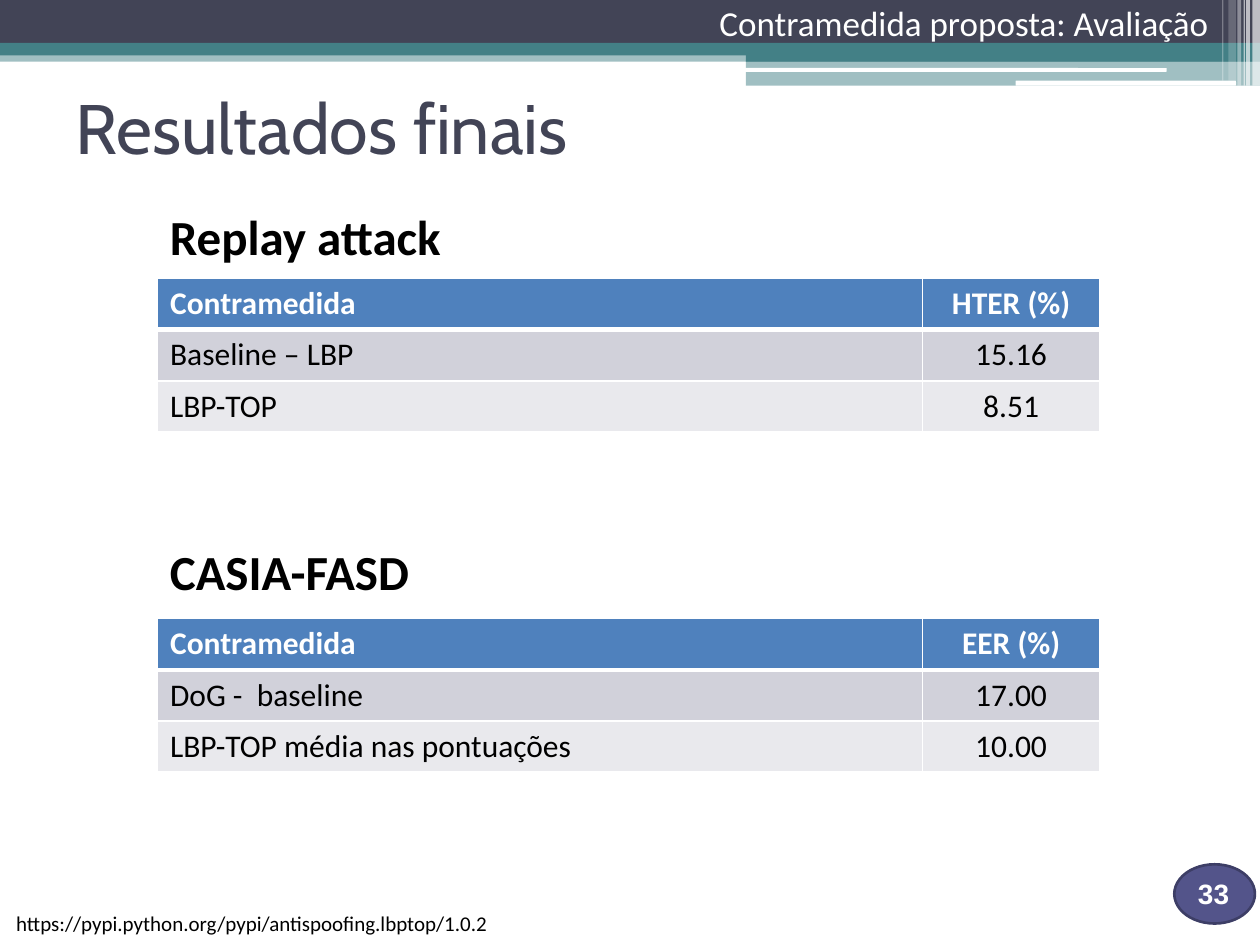
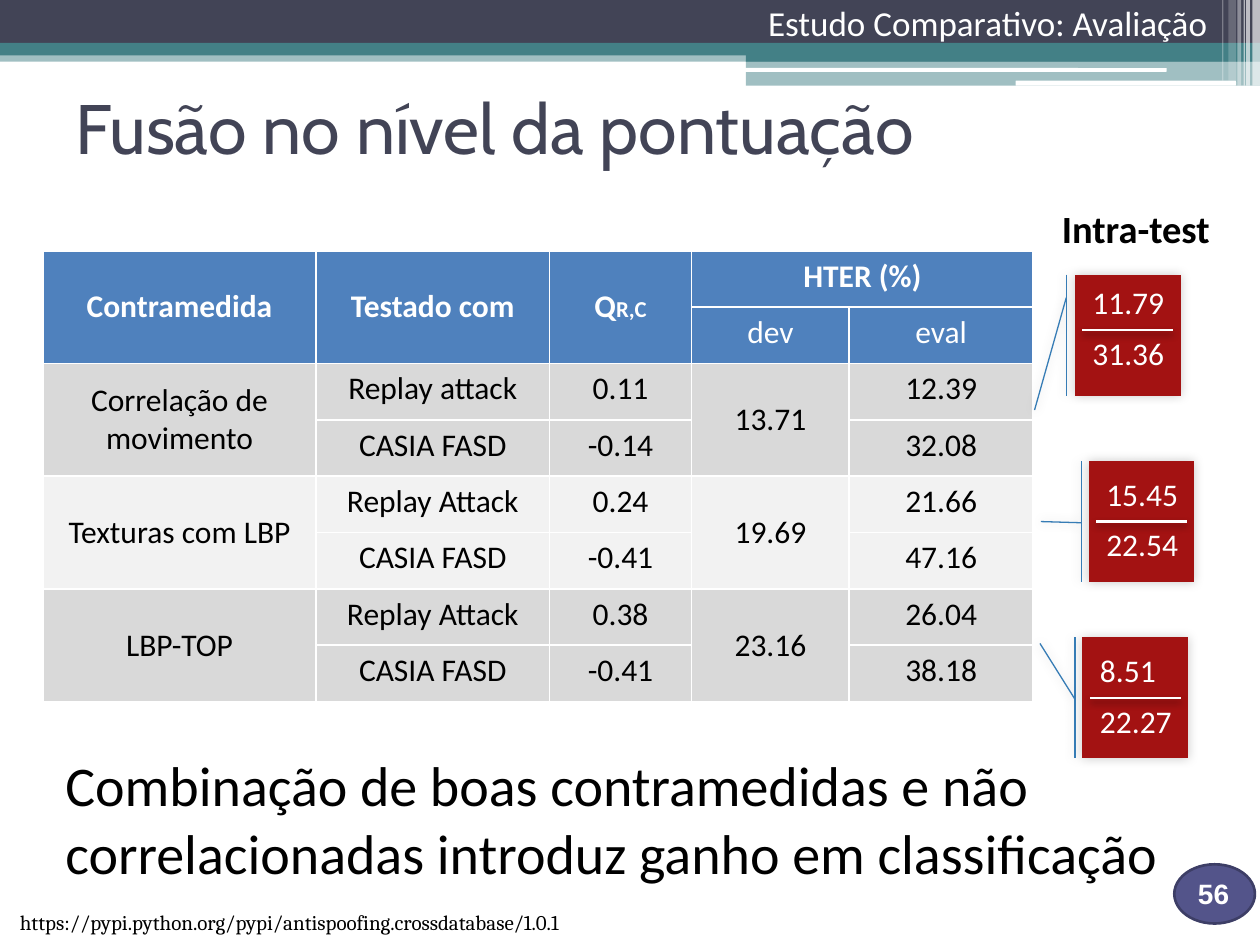
from pptx import Presentation
from pptx.dml.color import RGBColor
from pptx.enum.shapes import MSO_CONNECTOR, MSO_SHAPE
from pptx.enum.text import MSO_ANCHOR, MSO_AUTO_SIZE, PP_ALIGN
from pptx.oxml import parse_xml
from pptx.oxml.ns import nsdecls, qn
from pptx.util import Inches, Pt

RECTANGLE, ROUNDED = MSO_SHAPE.RECTANGLE, MSO_SHAPE.ROUNDED_RECTANGLE
OVAL, CALLOUT = MSO_SHAPE.OVAL, MSO_SHAPE.LINE_CALLOUT_1_ACCENT_BAR
STRAIGHT = MSO_CONNECTOR.STRAIGHT
LEFT, CENTER, RIGHT = PP_ALIGN.LEFT, PP_ALIGN.CENTER, PP_ALIGN.RIGHT
TOP, MIDDLE = MSO_ANCHOR.TOP, MSO_ANCHOR.MIDDLE

BLACK = RGBColor(0x00, 0x00, 0x00)
WHITE = RGBColor(0xFF, 0xFF, 0xFF)
SLATE = RGBColor(0x42, 0x44, 0x56)
TEAL = RGBColor(0x43, 0x80, 0x86)
INDIGO = RGBColor(0x53, 0x54, 0x8A)
INDIGO_DARK = RGBColor(0x3D, 0x3E, 0x66)
HEADER_BLUE = RGBColor(0x4F, 0x81, 0xBD)
LILAC = RGBColor(0xD1, 0xD1, 0xDA)
LILAC_LIGHT = RGBColor(0xE9, 0xE9, 0xED)
GREY = RGBColor(0xD9, 0xD9, 0xD9)
GREY_LIGHT = RGBColor(0xF2, 0xF2, 0xF2)
CRIMSON = RGBColor(0xA3, 0x12, 0x12)
CALLOUT_BLUE = RGBColor(0x36, 0x7C, 0xB5)

NO_TABLE_STYLE = "{2D5ABB26-0587-4C30-8999-92F81FD0307C}"

# Shape, left, top, width, height, colour, opacity in percent
BANDS = [
    (RECTANGLE, 0, 0.4, 10, 0.09, TEAL, 50),
    (RECTANGLE, 0, 0, 10, 0.34, SLATE, 100),
    (RECTANGLE, 0, 0.34, 10, 0.1, TEAL, 100),
    (RECTANGLE, 5.92, 0.39, 4.08, 0.1, TEAL, 100),
    (RECTANGLE, 5.92, 0.48, 4.08, 0.2, TEAL, 50),
    (ROUNDED, 5.91, 0.54, 3.35, 0.03, WHITE, 100),
    (ROUNDED, 8.06, 0.64, 1.75, 0.04, WHITE, 100),
    (RECTANGLE, 9.94, 0, 0.06, 0.68, WHITE, 65),
    (RECTANGLE, 9.89, 0, 0.03, 0.68, WHITE, 65),
    (RECTANGLE, 9.87, 0, 0.01, 0.68, WHITE, 60),
    (RECTANGLE, 9.82, 0, 0.03, 0.68, WHITE, 40),
    (RECTANGLE, 9.75, 0, 0.06, 0.64, WHITE, 20),
    (RECTANGLE, 9.7, 0, 0.01, 0.64, WHITE, 30),
]


def write_text(frame, text, size=18, font="Calibri", color=BLACK, bold=False,
               align=LEFT, wrap=True, small=""):
    """Write one paragraph; small is a suffix in a smaller size."""
    frame.word_wrap = wrap
    paragraph = frame.paragraphs[0]
    paragraph.alignment = align
    for content, points in ((text, size), (small, 13)):
        if content:
            run = paragraph.add_run()
            run.text = content
            run.font.size = Pt(points)
            run.font.name = font
            run.font.bold = bold
            run.font.color.rgb = color
    return paragraph


def format_cell(cell, fill, bottom=1, anchor=TOP):
    """Give a cell white borders (bottom in points) and a solid fill."""
    cell.vertical_anchor = anchor
    properties = cell._tc.get_or_add_tcPr()
    for side, points in (("L", 1), ("R", 1), ("T", 1), ("B", bottom)):
        properties.append(parse_xml(
            f'<a:ln{side} {nsdecls("a")} w="{Pt(points)}"><a:solidFill>'
            f'<a:srgbClr val="{WHITE}"/></a:solidFill></a:ln{side}>'))
    cell.fill.solid()
    cell.fill.fore_color.rgb = fill


presentation = Presentation()
presentation.slide_width = Inches(10)
presentation.slide_height = Inches(7.5)

# Bands, title and page number on each slide
for title_text, number in (("Resultados finais", "33"),
                           ("Fusão no nível da pontuação", "56")):
    slide = presentation.slides.add_slide(presentation.slide_layouts[5])
    for kind, left, top, width, height, color, opacity in BANDS:
        band = slide.shapes.add_shape(kind, Inches(left), Inches(top),
                                      Inches(width), Inches(height))
        band.shadow.inherit = False
        band.line.fill.background()
        band.fill.solid()
        band.fill.fore_color.rgb = color
        if opacity < 100:
            color_element = band._element.spPr.find(".//" + qn("a:srgbClr"))
            color_element.append(parse_xml(
                f'<a:alpha {nsdecls("a")} val="{opacity * 1000}"/>'))

    badge = slide.shapes.add_shape(OVAL, Inches(9.32), Inches(6.86),
                                   Inches(0.64), Inches(0.47))
    badge.shadow.inherit = False
    badge.fill.solid()
    badge.fill.fore_color.rgb = INDIGO
    badge.line.color.rgb = INDIGO_DARK
    badge.line.width = Pt(1.5)
    number_box = slide.shapes.add_textbox(Inches(9.41), Inches(6.91),
                                          Inches(0.7), Inches(0.4))
    write_text(number_box.text_frame, number, size=16, font="Arial",
               color=WHITE, bold=True)

    title = slide.shapes.title
    title.left, title.top = Inches(0.5), Inches(0.42)
    title.width, title.height = Inches(9), Inches(1.17)
    title.text_frame.auto_size = MSO_AUTO_SIZE.NONE
    title.text_frame.vertical_anchor = MIDDLE
    write_text(title.text_frame, title_text, size=40, font="Cabin", color=SLATE)

results_slide, fusion_slide = presentation.slides

# Section names, table headings, sources and the conclusion
section = dict(size=20, color=WHITE, align=RIGHT, wrap=False)
heading = dict(size=28, bold=True, wrap=False)
LABELS = [
    (results_slide, 1.25, 1.59, 2.39, 0.57, "Replay attack", heading),
    (results_slide, 1.25, 4.25, 2.15, 0.57, "CASIA-FASD", heading),
    (results_slide, 0.03, 7.18, 6.42, 0.3,
     "https://pypi.python.org/pypi/antispoofing.lbptop/1.0.2", dict(size=12)),
    (results_slide, 5.54, -0.04, 4.15, 0.44,
     "Contramedida proposta: Avaliação", section),
    (fusion_slide, 5.94, -0.04, 3.74, 0.44,
     "Estudo Comparativo: Avaliação", section),
    (fusion_slide, 0.06, 7.17, 8.86, 0.3,
     "https://pypi.python.org/pypi/antispoofing.crossdatabase/1.0.1",
     dict(size=12, font="Cambria")),
    (fusion_slide, 8.33, 1.58, 1.41, 0.47, "Intra-test",
     dict(size=22, bold=True, wrap=False)),
    (fusion_slide, 0.3, 5.91, 9.33, 1.18,
     "Combinação de boas contramedidas e não correlacionadas "
     "introduz ganho em classificação", dict(size=32)),
]
for slide, left, top, width, height, text, text_format in LABELS:
    box = slide.shapes.add_textbox(Inches(left), Inches(top),
                                   Inches(width), Inches(height))
    paragraph = write_text(box.text_frame, text, **text_format)
# The conclusion is the last label
paragraph._p.get_or_add_pPr().set("marL", str(Inches(0.12)))

# Result tables
RESULTS = [
    (2.21, [("Contramedida", "HTER (%)"),
            ("Baseline – LBP", "15.16"),
            ("LBP-TOP", "8.51")]),
    (4.91, [("Contramedida", "EER (%)"),
            ("DoG -  baseline", "17.00"),
            ("LBP-TOP média nas pontuações", "10.00")]),
]
for top, rows in RESULTS:
    table = results_slide.shapes.add_table(
        3, 2, Inches(1.25), Inches(top), Inches(7.48), Inches(1.22)).table
    table._tbl.tblPr.find(qn("a:tableStyleId")).text = NO_TABLE_STYLE
    table.columns[0].width, table.columns[1].width = Inches(6.07), Inches(1.41)
    for row, fill in enumerate((HEADER_BLUE, LILAC, LILAC_LIGHT)):
        is_header = row == 0
        for column, align in enumerate((LEFT, CENTER)):
            cell = table.cell(row, column)
            format_cell(cell, fill, bottom=3 if is_header else 1)
            write_text(cell.text_frame, rows[row][column], bold=is_header,
                       color=WHITE if is_header else BLACK, align=align)

# Fusion table: an empty text marks a cell covered by a merge
FUSION = [
    ("Contramedida", "Testado com", "Q", "HTER (%)", ""),
    ("", "", "", "dev", "eval"),
    ("Correlação de movimento", "Replay attack", "0.11", "13.71", "12.39"),
    ("", "CASIA FASD", "-0.14", "", "32.08"),
    ("Texturas com LBP", "Replay Attack", "0.24", "19.69", "21.66"),
    ("", "CASIA FASD", "-0.41", "", "47.16"),
    ("LBP-TOP", "Replay Attack", "0.38", "23.16", "26.04"),
    ("", "CASIA FASD", "-0.41", "", "38.18"),
]
fusion_table = fusion_slide.shapes.add_table(
    8, 5, Inches(0.34), Inches(1.99), Inches(7.86), Inches(3.58)).table
fusion_table._tbl.tblPr.find(qn("a:tableStyleId")).text = NO_TABLE_STYLE
for column, width in enumerate((2.17, 1.85, 1.13, 1.25, 1.46)):
    fusion_table.columns[column].width = Inches(width)
pair_fills = (HEADER_BLUE, GREY, GREY_LIGHT, GREY)
for row, texts in enumerate(FUSION):
    for column, text in enumerate(texts):
        cell = fusion_table.cell(row, column)
        is_tall = row % 2 == 0 and not FUSION[row + 1][column]
        format_cell(cell, pair_fills[row // 2],
                    anchor=MIDDLE if is_tall else TOP)
        if text:
            write_text(cell.text_frame, text, bold=row == 0, align=CENTER,
                       color=WHITE if row < 2 else BLACK,
                       small="R,C" if text == "Q" else "")
        if is_tall:
            cell.merge(fusion_table.cell(row + 1, column))
fusion_table.cell(0, 3).merge(fusion_table.cell(0, 4))

# Intra-test callouts: left, top, values top, values, pointer adjustments
CALLOUTS = [
    (8.53, 2.18, 2.21, ("11.79", "31.36"), (0.19, -0.08, 1.12, -0.38)),
    (8.64, 3.66, 3.73, ("15.45", "22.54"), (0.51, -0.07, 0.5, -0.45)),
    (8.59, 5.06, 5.13, ("8.51", "22.27"), (0.51, -0.07, 0.05, -0.4)),
]
for left, top, values_top, values, pointer in CALLOUTS:
    callout = fusion_slide.shapes.add_shape(CALLOUT, Inches(left), Inches(top),
                                            Inches(0.84), Inches(0.96))
    for index, adjustment in enumerate(pointer):
        callout.adjustments[index] = adjustment
    callout.fill.solid()
    callout.fill.fore_color.rgb = CRIMSON
    callout.line.color.rgb = CALLOUT_BLUE
    callout.line.width = Pt(0.75)

    values_table = fusion_slide.shapes.add_table(
        2, 1, Inches(left + 0.04), Inches(values_top),
        Inches(0.78), Inches(0.8)).table
    values_table._tbl.tblPr.find(qn("a:tableStyleId")).text = NO_TABLE_STYLE
    for row, value in enumerate(values):
        write_text(values_table.cell(row, 0).text_frame, value, color=WHITE)

    rule_left, rule_top = Inches(left + 0.06), Inches(values_top + 0.41)
    rule = fusion_slide.shapes.add_connector(
        STRAIGHT, rule_left, rule_top, rule_left + Inches(0.72), rule_top)
    rule.line.color.rgb = WHITE
    rule.line.width = Pt(1.5)

    # Blur and distance in points, angle in degrees, opacity in percent
    for shape, blur, distance, angle, opacity in ((callout, 6, 0, 315, 20),
                                                  (rule, 4.1, 2, 90, 40)):
        shape._element.spPr.append(parse_xml(
            f'<a:effectLst {nsdecls("a")}><a:outerShdw blurRad="{Pt(blur)}" '
            f'dist="{Pt(distance)}" dir="{angle * 60000}" rotWithShape="0">'
            f'<a:srgbClr val="{BLACK}"><a:alpha val="{opacity * 1000}"/>'
            '</a:srgbClr></a:outerShdw></a:effectLst>'))

presentation.save("out.pptx")
